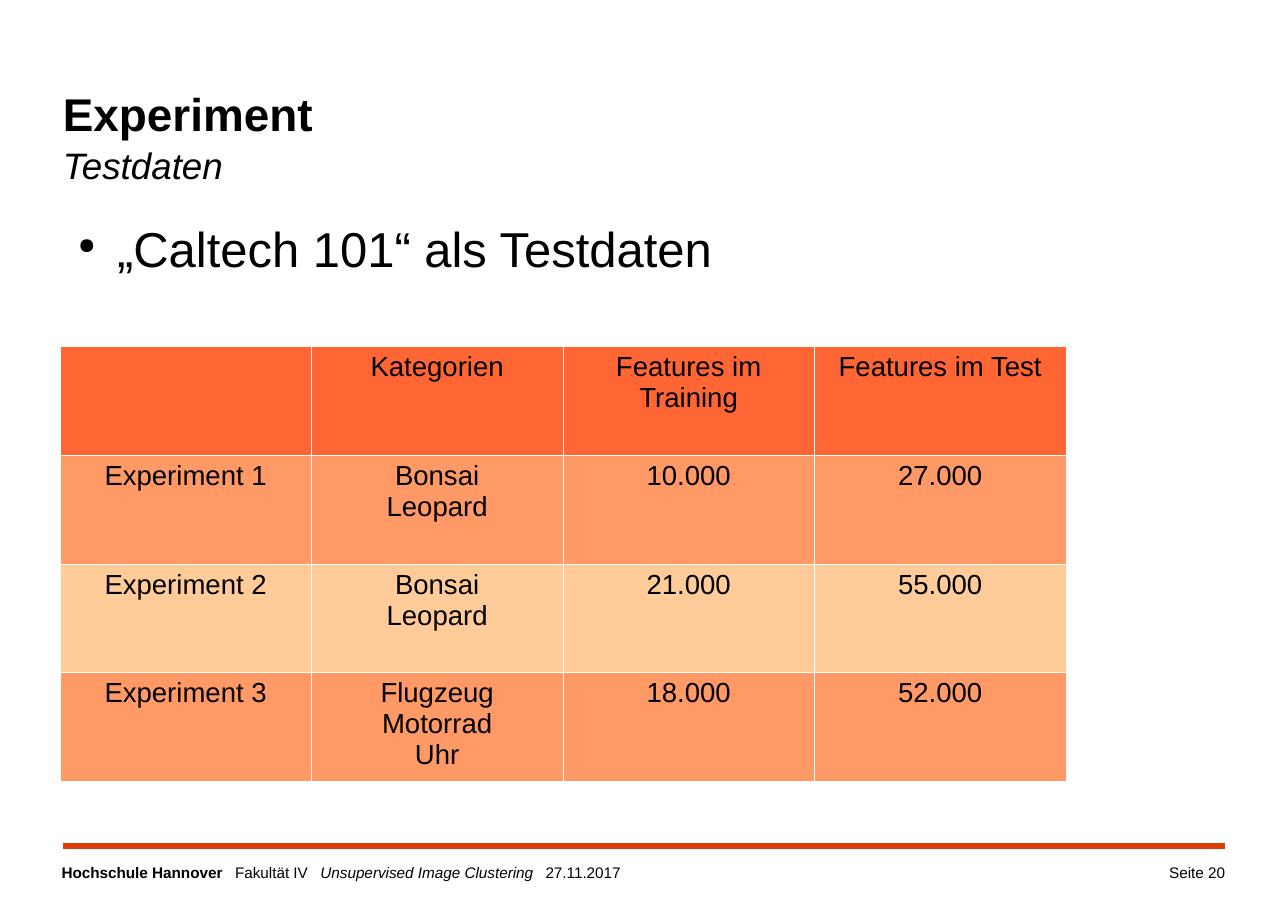
from lxml import etree
from pptx import Presentation
from pptx.dml.color import RGBColor
from pptx.enum.shapes import MSO_CONNECTOR
from pptx.enum.text import MSO_ANCHOR, MSO_AUTO_SIZE, PP_ALIGN
from pptx.oxml.ns import qn
from pptx.util import Cm, Pt

LEFT, CENTER, RIGHT = PP_ALIGN.LEFT, PP_ALIGN.CENTER, PP_ALIGN.RIGHT
TOP = MSO_ANCHOR.TOP
STRAIGHT = MSO_CONNECTOR.STRAIGHT
FONT = "Arial"
COLORS = {
    "text": "000000",
    "rule": "DC3C05",
    "header": "FF6633",
    "odd": "FF9966",
    "even": "FFCC99",
    "border": "FFFFFF",
}
ROWS = [
    ["", "Kategorien", "Features im Training", "Features im Test"],
    ["Experiment 1", "Bonsai\nLeopard", "10.000", "27.000"],
    ["Experiment 2", "Bonsai\nLeopard", "21.000", "55.000"],
    ["Experiment 3", "Flugzeug\nMotorrad\nUhr", "18.000", "52.000"],
]
FOOTER_PARTS = [
    ("Hochschule Hannover", True, False),
    ("\tFakultät IV", False, False),
    ("\tUnsupervised Image Clustering", False, True),
    ("\t27.11.2017", False, False),
]
FOOTER_TABS = [4, 5.97, 11.16]


def color(name):
    return RGBColor.from_string(COLORS[name])


def style(font, size, bold=False, italic=False):
    font.name, font.size = FONT, Pt(size)
    font.bold, font.italic = bold, italic
    font.color.rgb = color("text")


def prepare_frame(frame):
    """Remove the insets, wrap the text and start it at the top."""
    frame.word_wrap = True
    frame.auto_size = MSO_AUTO_SIZE.NONE
    frame.vertical_anchor = TOP
    frame.margin_left = frame.margin_right = 0
    frame.margin_top = frame.margin_bottom = 0


def add_text_para(page, left, top, width, height):
    box = page.shapes.add_textbox(Cm(left), Cm(top), Cm(width), Cm(height))
    prepare_frame(box.text_frame)
    return box.text_frame.paragraphs[0]


def add_span(para, text, size, bold=False, italic=False):
    span = para.add_run()
    span.text = text
    style(span.font, size, bold, italic)


def fill_title(page, left, top, width, height):
    title = page.shapes.title
    title.left, title.top = Cm(left), Cm(top)
    title.width, title.height = Cm(width), Cm(height)
    prepare_frame(title.text_frame)
    para = title.text_frame.paragraphs[0]
    para.alignment = LEFT
    para.line_spacing = 1.05
    add_span(para, "Experiment", 30, bold=True)
    para.add_line_break()
    add_span(para, "Testdaten", 24, italic=True)


def add_bullet(page, left, top, width, height):
    para = add_text_para(page, left, top, width, height)
    para.text = "„Caltech 101“ als Testdaten"
    style(para.font, 32)
    props = para._p.get_or_add_pPr()
    props.set("marL", str(Cm(1.2)))
    props.set("indent", str(Cm(-0.9)))
    size = etree.Element(qn("a:buSzPct"), val="45000")
    mark = etree.Element(qn("a:buChar"), char="●")
    props.insert(0, size)
    props.insert(1, mark)


def add_borders(cell):
    props = cell._tc.get_or_add_tcPr()
    for index, side in enumerate(("lnL", "lnR", "lnT", "lnB")):
        line = etree.Element(qn(f"a:{side}"), w=str(Pt(0.06)))
        fill = etree.SubElement(line, qn("a:solidFill"))
        etree.SubElement(fill, qn("a:srgbClr"), val=COLORS["border"])
        props.insert(index, line)


def add_experiments(page, left, top, width, height):
    frame = page.shapes.add_table(
        len(ROWS), len(ROWS[0]), Cm(left), Cm(top), Cm(width), Cm(height)
    )
    table = frame.table
    for row_index, texts in enumerate(ROWS):
        if row_index == 0:
            band = "header"
        else:
            band = "odd" if row_index % 2 else "even"
        for column_index, text in enumerate(texts):
            cell = table.cell(row_index, column_index)
            cell.fill.solid()
            cell.fill.fore_color.rgb = color(band)
            add_borders(cell)
            cell.text = text
            for para in cell.text_frame.paragraphs:
                para.alignment = CENTER
                style(para.font, 18)


def add_footer(page, left, top, width, height):
    """Place the rule at the top of the box and the two texts below it."""
    right = left + width
    rule = page.shapes.add_connector(
        STRAIGHT, Cm(left), Cm(top), Cm(right), Cm(top)
    )
    rule.line.color.rgb = color("rule")
    rule.line.width = Pt(4)
    etree.SubElement(rule._element.spPr, qn("a:effectLst"))

    text_top, text_height = top + 0.4, height - 0.4
    para = add_text_para(page, left - 0.03, text_top, 21.4, text_height)
    tabs = etree.SubElement(para._p.get_or_add_pPr(), qn("a:tabLst"))
    for position in FOOTER_TABS:
        etree.SubElement(tabs, qn("a:tab"), pos=str(Cm(position)), algn="l")
    for text, bold, italic in FOOTER_PARTS:
        add_span(para, text, 10, bold, italic)

    number = add_text_para(page, right - 3.4, text_top, 3.4, text_height)
    number.text = "Seite 20"
    number.alignment = RIGHT
    style(number.font, 10)


def main():
    deck = Presentation()
    deck.slide_width, deck.slide_height = Cm(29.7), Cm(21)
    page = deck.slides.add_slide(deck.slide_layouts[5])
    add_footer(page, 1.45, 19.51, 26.8, 1.03)
    fill_title(page, 1.45, 1.9, 26.8, 2.64)
    add_experiments(page, 1.38, 7.98, 23.2, 10.03)
    add_bullet(page, 1.5, 5.03, 23.9, 2.6)
    deck.save("out.pptx")


if __name__ == "__main__":
    main()
